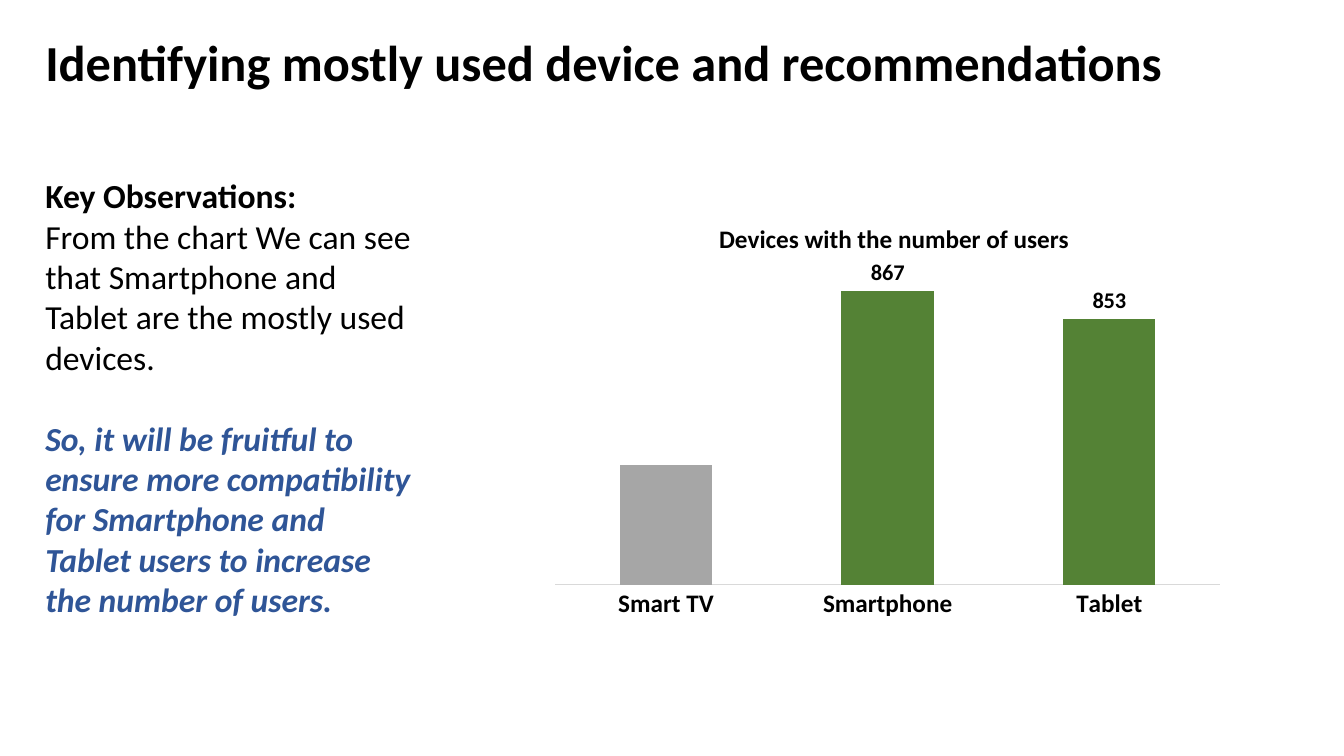
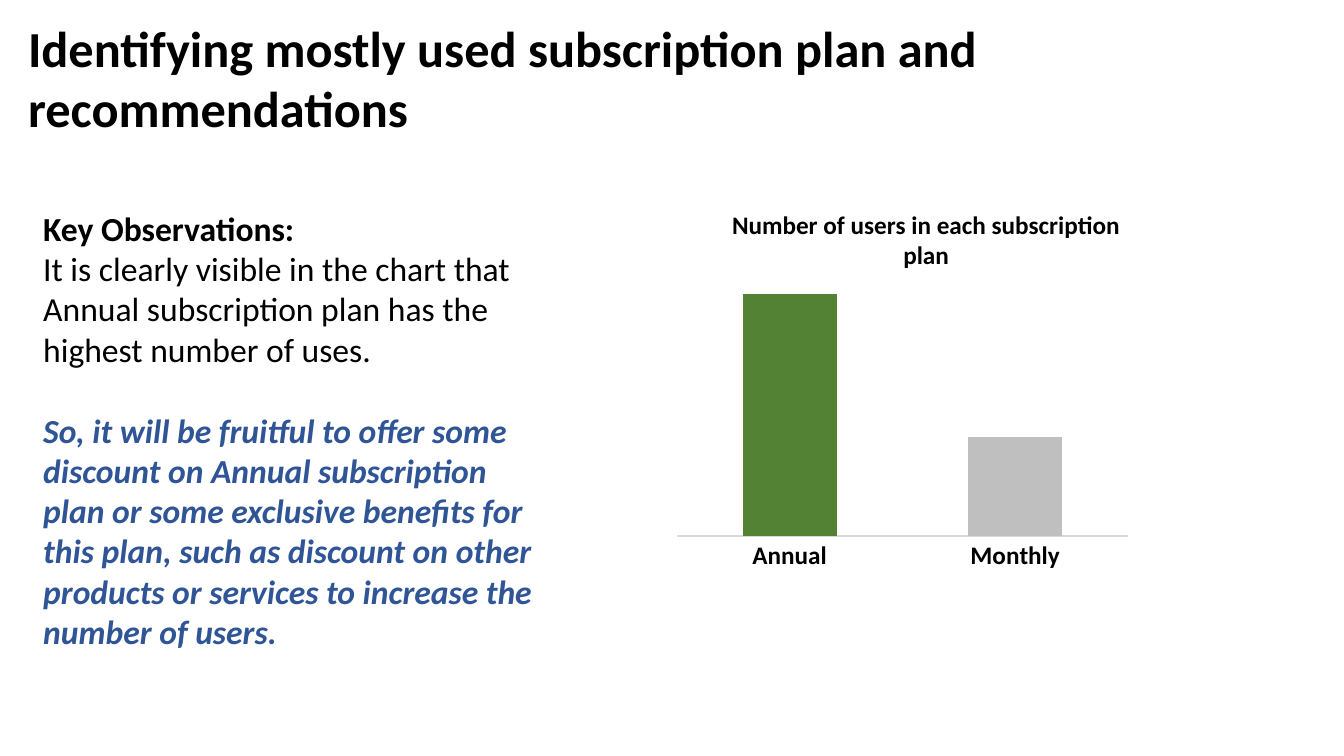
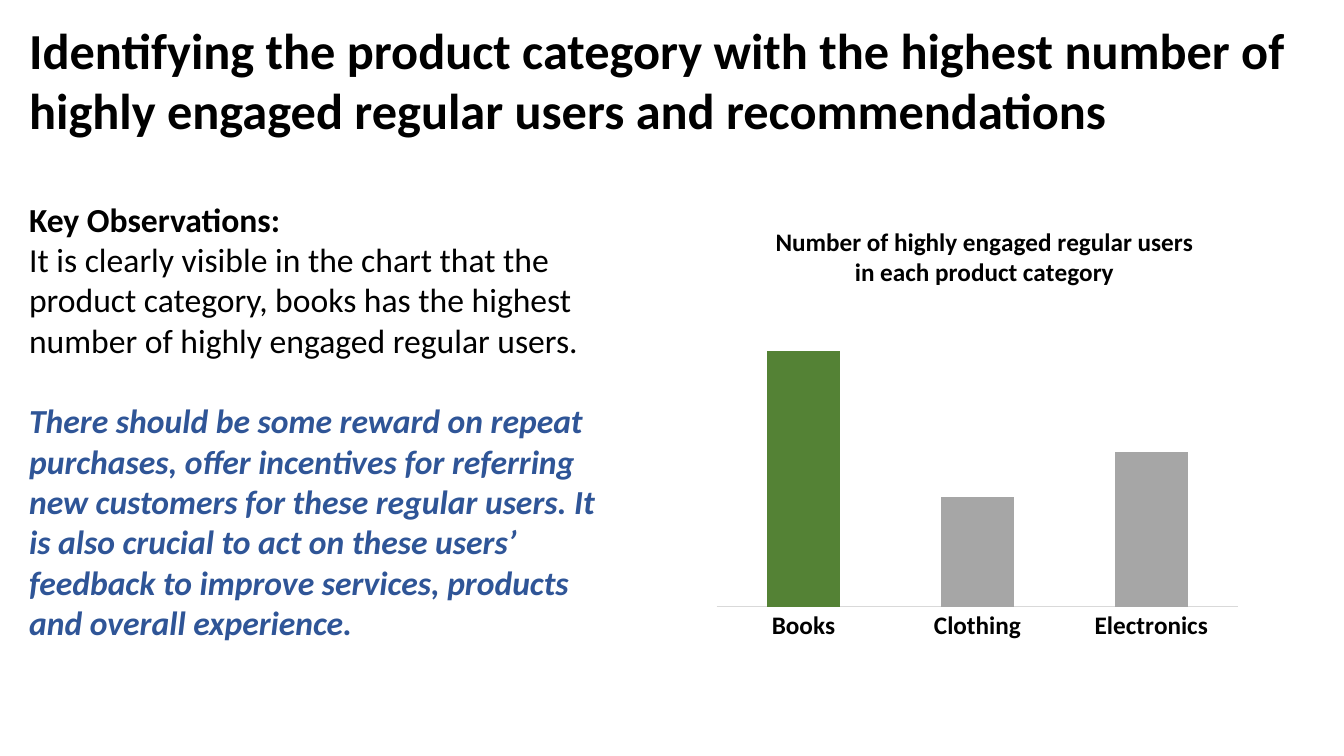
from lxml import etree
from pptx import Presentation
from pptx import util as u
from pptx.chart.data import CategoryChartData
from pptx.dml.color import RGBColor
from pptx.enum import chart as ch, text
from pptx.oxml.ns import qn

HUES = {"ink": "000000", "blue": "2F5597", "green": "548235",
        "gray": "A6A6A6", "pale": "BFBFBF", "rule": "D9D9D9"}
FACE = "Calibri"

deck = Presentation()
deck.slide_width, deck.slide_height = u.Inches(13.33), u.Inches(7.5)


def style(font, size, hue="ink", bold=False, italic=False):
    font.name, font.size = FACE, u.Pt(size)
    font.bold, font.italic = bold, italic
    font.color.rgb = RGBColor.from_string(HUES[hue])


def place(node, after, spots):
    """Put a manual layout, in shares of the chart, into a chart part."""
    for old in node.findall(qn("c:layout")):
        node.remove(old)
    lay = etree.Element(qn("c:layout"))
    man = etree.SubElement(lay, qn("c:manualLayout"))
    for tag, val in spots:
        etree.SubElement(man, qn("c:" + tag)).set("val", str(val))
    node.insert(after, lay)


# Boxes are left, top, width, height in percent of the slide;
# spot and plot are shares of the chart
PAGES = [
    {"title": "Identifying mostly used device and recommendations",
     "head": (2.63, 3.47, 94.22, 9.47),
     "body": (2.63, 22.53, 29.03, 60.53),
     "seen": "From the chart We can see that Smartphone and Tablet are the "
             "mostly used devices.",
     "advice": "So, it will be fruitful to ensure more compatibility for "
               "Smartphone and Tablet users to increase the number of users.",
     "area": (40.28, 25.87, 51.54, 57.2),
     "name": "Devices with the number of users",
     "spot": (0.25, 0.05), "plot": (0.02, 0.16, 0.96, 0.74),
     "range": (720, 880), "labels": (1, 2),
     "bars": [("Smart TV", 780, "gray"), ("Smartphone", 867, "green"),
              ("Tablet", 853, "green")]},
    {"title": "Identifying mostly used subscription plan and recommendations",
     "head": (1.35, 1.6, 97.3, 17.47),
     "body": (2.48, 26.8, 39.01, 64.67),
     "seen": "It is clearly visible in the chart that Annual subscription "
             "plan has the highest number of uses.",
     "advice": "So, it will be fruitful to offer some discount on Annual "
               "subscription plan or some exclusive benefits for this plan, "
               "such as discount on other products or services to increase "
               "the number of users.",
     "area": (47.34, 23.33, 37.73, 57.33),
     "name": "Number of users in each subscription plan",
     "spot": (0.18, 0.06), "plot": (0.08, 0.2, 0.89, 0.63),
     "range": (94.94, 100.64), "labels": (),
     "bars": [("Annual", 100, "green"), ("Monthly", 97, "pale")]},
    {"title": "Identifying the product category with the highest number of "
              "highly engaged regular users and recommendations",
     "head": (1.43, 1.87, 97.15, 17.47),
     "body": (1.43, 25.6, 44.26, 60.53),
     "seen": "It is clearly visible in the chart that the product category, "
             "books has the highest number of highly engaged regular users.",
     "advice": "There should be some reward on repeat purchases, offer "
               "incentives for referring new customers for these regular "
               "users. It is also crucial to act on these users’ feedback to "
               "improve services, products and overall experience.",
     "area": (52.51, 26, 40.44, 60.27),
     "name": "Number of highly engaged regular users in each product category",
     "spot": (0.12, 0.05), "plot": (0.02, 0.26, 0.96, 0.64),
     "range": (72, 104), "labels": (),
     "bars": [("Books", 100, "green"), ("Clothing", 84, "gray"),
              ("Electronics", 89, "gray")]},
]

wide, high = deck.slide_width / 100, deck.slide_height / 100
for page in PAGES:
    slide = deck.slides.add_slide(deck.slide_layouts[6])
    boxes = {}
    for key in ("head", "body", "area"):
        x, y, w, h = page[key]
        boxes[key] = [int(n) for n in (x * wide, y * high, w * wide, h * high)]

    # Title and observations: wording, size, colour, bold, italic, space before
    parts = {
        "head": [(page["title"], 36, "ink", True, False, 0)],
        "body": [("Key Observations:", 24, "ink", True, False, 0),
                 (page["seen"], 24, "ink", False, False, 0),
                 (page["advice"], 24, "blue", True, True, 29)]}
    for key, lines in parts.items():
        frame = slide.shapes.add_textbox(*boxes[key]).text_frame
        frame.word_wrap = True
        frame.auto_size = text.MSO_AUTO_SIZE.SHAPE_TO_FIT_TEXT
        for i, (words, size, hue, bold, italic, gap) in enumerate(lines):
            para = frame.add_paragraph() if i else frame.paragraphs[0]
            para.text = words
            if gap:
                para.space_before = u.Pt(gap)
            style(para.font, size, hue, bold, italic)

    # Chart
    names, vals, hues = zip(*page["bars"])
    data = CategoryChartData()
    data.categories = names
    data.add_series("Series 1", vals)
    chart = slide.shapes.add_chart(
        ch.XL_CHART_TYPE.COLUMN_CLUSTERED, *boxes["area"], data).chart
    style(chart.font, 10)
    chart.has_legend = False
    chart.has_title = True
    para = chart.chart_title.text_frame.paragraphs[0]
    para.text = page["name"]
    style(para.font, 18, bold=True)
    place(chart.chart_title._element, 1,
          [("xMode", "edge"), ("yMode", "edge"), *zip("xy", page["spot"])])
    place(chart._chartSpace.chart.plotArea, 0,
          [("layoutTarget", "inner"), ("xMode", "edge"), ("yMode", "edge"),
           *zip("xywh", page["plot"])])

    # Axes
    cats, scale = chart.category_axis, chart.value_axis
    cats.major_tick_mark = ch.XL_TICK_MARK.NONE
    cats.format.line.color.rgb = RGBColor.from_string(HUES["rule"])
    cats.format.line.width = u.Pt(0.75)
    style(cats.tick_labels.font, 18, bold=True)
    scale.minimum_scale, scale.maximum_scale = page["range"]
    scale.has_major_gridlines = False
    scale.visible = False

    # Bars and their labels
    plot = chart.plots[0]
    plot.gap_width, plot.overlap = 140, -27
    plot.vary_by_categories = False
    points = plot.series[0].points
    for i, hue in enumerate(hues):
        fill = points[i].format.fill
        fill.solid()
        fill.fore_color.rgb = RGBColor.from_string(HUES[hue])
    for i in page["labels"]:
        label = points[i].data_label
        style(label.font, 16, bold=True)
        label.position = ch.XL_LABEL_POSITION.OUTSIDE_END

deck.save("out.pptx")
